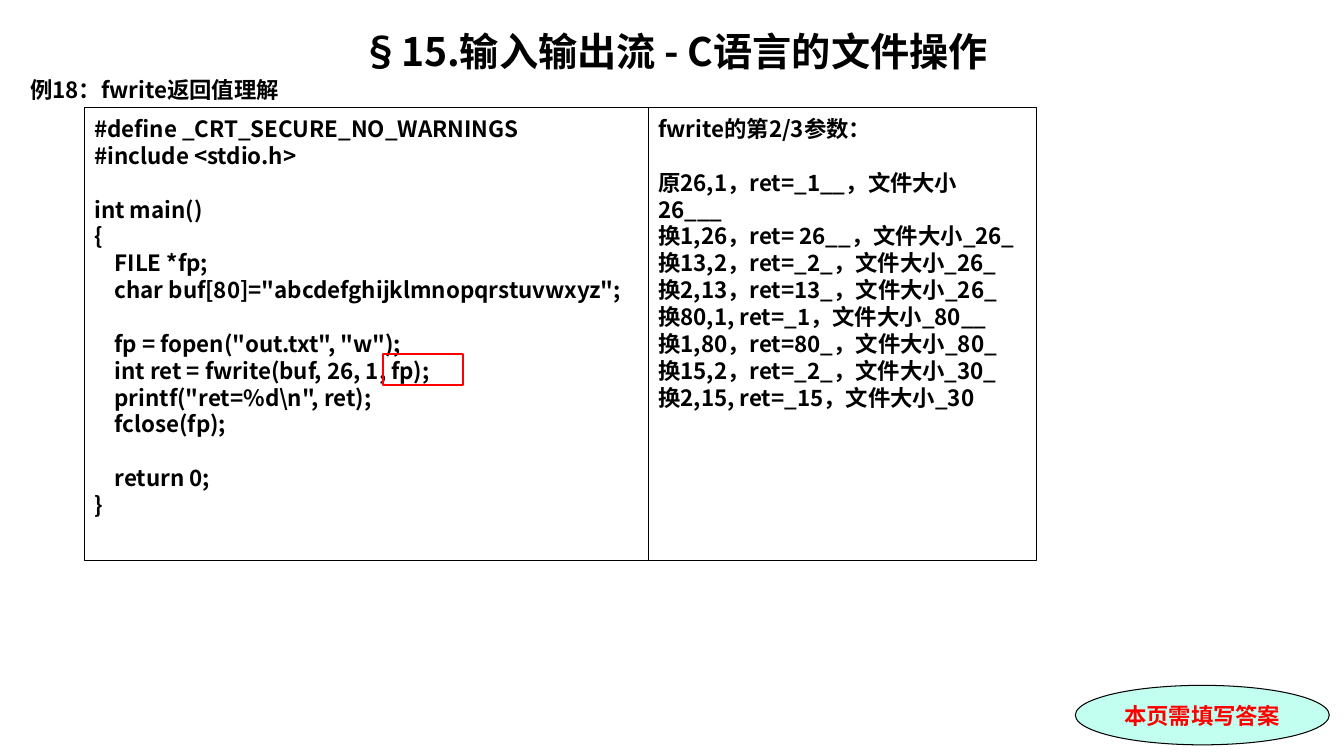
"""Builds the slide on understanding the return value of fwrite."""
from pptx import Presentation
from pptx.dml.color import RGBColor
from pptx.enum.shapes import MSO_SHAPE as Preset
from pptx.enum.text import MSO_ANCHOR as Anchor, PP_ALIGN as Align
from pptx.oxml.ns import qn
from pptx.util import Cm, Pt

BLACK = RGBColor(0x00, 0x00, 0x00)
RED = RGBColor(0xFF, 0x00, 0x00)
MINT = RGBColor(0xC2, 0xFF, 0xF0)
SANS, SERIF = "Noto Sans CJK SC", "Times New Roman"
BODY_SIZE, TITLE_SIZE = 16, 28
LEADING = 1.2

TITLE = "§15.输入输出流 - C语言的文件操作"
EXAMPLE = "例18：fwrite返回值理解"
BADGE = "本页需填写答案"
# Each group is a list of (indent level, line); groups are one line apart.
CODE = [
    [(0, "#define _CRT_SECURE_NO_WARNINGS"), (0, "#include <stdio.h>")],
    [(0, "int main()"), (0, "{"), (1, "FILE *fp;"),
     (1, 'char buf[80]="abcdefghijklmnopqrstuvwxyz";')],
    [(1, 'fp = fopen("out.txt", "w");'),
     (1, "int ret = fwrite(buf, 26, 1, fp);"),
     (1, 'printf("ret=%d\\n", ret);'), (1, "fclose(fp);")],
    [(1, "return 0;"), (0, "}")],
]
ANSWERS = [
    [(0, "fwrite的第2/3参数：")],
    [(0, "原26,1，ret=_1__，文件大小 26___"),
     (0, "换1,26，ret= 26__，文件大小_26_"),
     (0, "换13,2，ret=_2_，文件大小_26_"),
     (0, "换2,13，ret=13_，文件大小_26_"),
     (0, "换80,1, ret=_1，文件大小_80__"),
     (0, "换1,80，ret=80_，文件大小_80_"),
     (0, "换15,2，ret=_2_，文件大小_30_"),
     (0, "换2,15, ret=_15，文件大小_30")],
]

PANEL_TOP, PANEL_HEIGHT = 2.72, 11.4
CODE_LEFT, CODE_WIDTH = 2.13, 14.21
ANSWERS_LEFT, ANSWERS_WIDTH = CODE_LEFT + CODE_WIDTH, 9.78
INDENT = 0.51


def write(paragraph, text, size=BODY_SIZE, color=BLACK, latin=SANS):
    paragraph.text = text
    paragraph.line_spacing = Pt(size * LEADING)
    for run in paragraph.runs:
        run.font.size = Pt(size)
        run.font.bold = True
        run.font.color.rgb = color
        run.font.name = latin
        east_asian = run.font._element.makeelement(qn("a:ea"), {"typeface": SANS})
        run.font._element.find(qn("a:latin")).addnext(east_asian)


def add_outlined(slide, preset, box, color=BLACK, weight=0.75, fill=None):
    shape = slide.shapes.add_shape(preset, *map(Cm, box))
    shape.shadow.inherit = False
    shape.line.color.rgb = color
    shape.line.width = Pt(weight)
    if fill is None:
        shape.fill.background()
    else:
        shape.fill.solid()
        shape.fill.fore_color.rgb = fill
    return shape


def add_panel(slide, left, width, groups):
    box = (left, PANEL_TOP, width, PANEL_HEIGHT)
    frame = add_outlined(slide, Preset.RECTANGLE, box).text_frame
    frame.word_wrap = True
    frame.vertical_anchor = Anchor.TOP
    frame.margin_top = Cm(0.18)
    for g, group in enumerate(groups):
        for i, (level, line) in enumerate(group):
            first = g == 0 and i == 0
            paragraph = frame.paragraphs[0] if first else frame.add_paragraph()
            write(paragraph, line)
            paragraph.alignment = Align.LEFT
            if level:
                paragraph._p.get_or_add_pPr().set("marL", str(Cm(level * INDENT)))
            if g and i == 0:
                paragraph.space_before = Pt(BODY_SIZE * LEADING)


def add_heading(slide):
    frame = slide.shapes.add_textbox(
        Cm(0.51), Cm(0.46), Cm(32.99), Cm(18.01)).text_frame
    frame.word_wrap = True
    frame.margin_top = Cm(0.23)
    title, example = frame.paragraphs[0], frame.add_paragraph()
    write(title, TITLE, TITLE_SIZE)
    title.alignment = Align.CENTER
    write(example, EXAMPLE)
    example.space_before = Pt(1)


def add_badge(slide):
    box = (27.1, 17.27, 6.4, 1.5)
    frame = add_outlined(slide, Preset.OVAL, box, fill=MINT).text_frame
    frame.word_wrap = False
    frame.vertical_anchor = Anchor.MIDDLE
    write(frame.paragraphs[0], BADGE, color=RED, latin=SERIF)
    frame.paragraphs[0].alignment = Align.CENTER


def main():
    deck = Presentation()
    deck.slide_width, deck.slide_height = Cm(33.87), Cm(19.05)
    slide = deck.slides.add_slide(deck.slide_layouts[6])
    add_heading(slide)
    add_panel(slide, CODE_LEFT, CODE_WIDTH, CODE)
    add_panel(slide, ANSWERS_LEFT, ANSWERS_WIDTH, ANSWERS)
    add_outlined(slide, Preset.RECTANGLE, (9.65, 8.92, 2.01, 0.79), RED, 1.5)
    add_badge(slide)
    deck.save("out.pptx")


if __name__ == "__main__":
    main()
